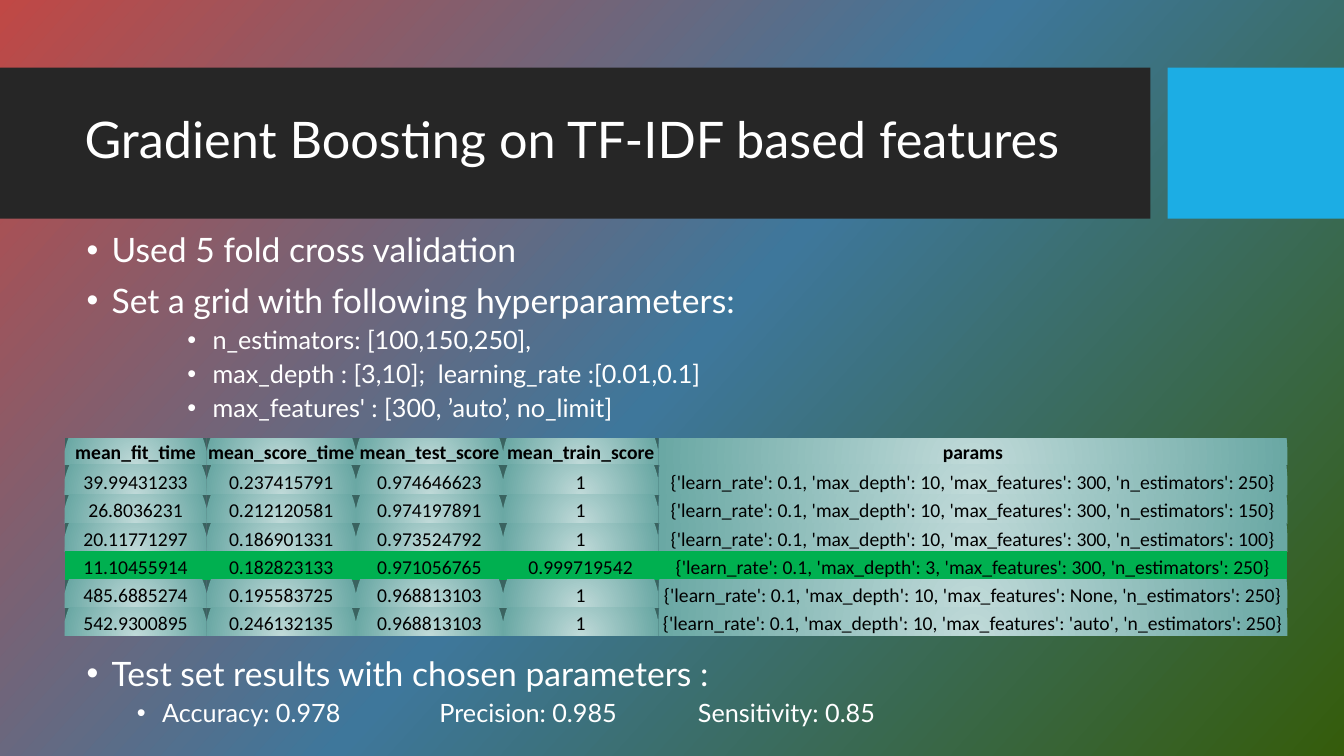
from lxml import etree
from pptx import Presentation
from pptx.dml.color import RGBColor
from pptx.enum.shapes import MSO_SHAPE
from pptx.enum.text import MSO_ANCHOR, PP_ALIGN
from pptx.oxml.ns import qn
from pptx.util import Inches, Pt

RECTANGLE = MSO_SHAPE.RECTANGLE
MIDDLE, BOTTOM = MSO_ANCHOR.MIDDLE, MSO_ANCHOR.BOTTOM
CENTER = PP_ALIGN.CENTER

COLORS = {
    "band": "262626",
    "accent": "1CADE4",
    "light": "FFFFFF",
    "dark": "000000",
    "chosen": "00B050",
}
BACKGROUND_STOPS = [(0, "C04845"), (50, "3E779B"), (100, "355C0B")]
CELL_STOPS = [(0, "C0DAD9"), (100, "6AA8A4"), (100, "3A6360")]
NO_STYLE_NO_GRID = "{2D5ABB26-0587-4C30-8999-92F81FD0307C}"

TITLE = "Gradient Boosting on TF-IDF based features"
SETUP = [
    (0, "Used 5 fold cross validation"),
    (0, "Set a grid with following hyperparameters:"),
    (2, "n_estimators: [100,150,250],"),
    (2, "max_depth : [3,10];  learning_rate :[0.01,0.1]"),
    (2, "max_features' : [300, ’auto’, no_limit]"),
]
TEST_RESULTS = [
    (0, "Test set results with chosen parameters :"),
    (1, "Accuracy: 0.978\t\tPrecision: 0.985\t\t Sensitivity: 0.85"),
]
HEADERS = ["mean_fit_time", "mean_score_time", "mean_test_score", "mean_train_score", "params"]
SCORES = [
    ("39.99431233", "0.237415791", "0.974646623", "1", "10", "300", "250"),
    ("26.8036231", "0.212120581", "0.974197891", "1", "10", "300", "150"),
    ("20.11771297", "0.186901331", "0.973524792", "1", "10", "300", "100"),
    ("11.10455914", "0.182823133", "0.971056765", "0.999719542", "3", "300", "250"),
    ("485.6885274", "0.195583725", "0.968813103", "1", "10", "None", "250"),
    ("542.9300895", "0.246132135", "0.968813103", "1", "10", "'auto'", "250"),
]
CHOSEN_ROW = 4
COLUMN_WIDTHS = [1.41, 1.48, 1.46, 1.54, 6.24]
ROW_HEIGHTS = [0.26, 0.3] + [0.28] * 5
BAND_TOP, BAND_HEIGHT = 0.67, 1.5
BODY_LEFT, BODY_WIDTH = 0.76, 10.51


def set_gradient(fill, holder, stops, shade, **shade_attributes):
    fill.gradient()
    gradient = holder.find(qn("a:gradFill"))
    for child in list(gradient):
        gradient.remove(child)
    stop_list = etree.SubElement(gradient, qn("a:gsLst"))
    for position, color in stops:
        stop = etree.SubElement(stop_list, qn("a:gs"), pos=str(position * 1000))
        etree.SubElement(stop, qn("a:srgbClr"), val=color)
    return etree.SubElement(gradient, qn(shade), **shade_attributes)


def set_font(paragraph, name, size, color, bold=False):
    font = paragraph.font
    font.name, font.size, font.bold = name, Pt(size), bold
    font.color.rgb = RGBColor.from_string(COLORS[color])


def add_band(slide, left, width, color):
    band = slide.shapes.add_shape(
        RECTANGLE, Inches(left), Inches(BAND_TOP), Inches(width), Inches(BAND_HEIGHT))
    band.shadow.inherit = False
    band.fill.solid()
    band.fill.fore_color.rgb = RGBColor.from_string(COLORS[color])
    band.line.fill.background()


def add_text_frame(slide, left, top, width, height):
    frame = slide.shapes.add_textbox(
        Inches(left), Inches(top), Inches(width), Inches(height)).text_frame
    frame.word_wrap = True
    return frame


def add_bullets(slide, top, height, items):
    frame = add_text_frame(slide, BODY_LEFT, top, BODY_WIDTH, height)
    for index, (level, text) in enumerate(items):
        paragraph = frame.add_paragraph() if index else frame.paragraphs[0]
        paragraph.text = text
        paragraph.level = level
        paragraph.line_spacing = 0.9
        paragraph.space_before = Pt(5 if level else 10)
        properties = paragraph._p.get_or_add_pPr()
        properties.set("marL", str(Inches(0.25 + 0.5 * level)))
        properties.set("indent", str(Inches(-0.25)))
        etree.SubElement(properties, qn("a:buFont"), typeface="Arial")
        etree.SubElement(properties, qn("a:buChar"), char="•")
        set_font(paragraph, "Lato", 18 if level else 24, "light")


def fill_cell(cell, text, is_header, is_chosen):
    cell.text = text
    cell.vertical_anchor = BOTTOM
    cell.margin_left = cell.margin_top = cell.margin_right = Inches(0.01)
    cell.margin_bottom = 0
    paragraph = cell.text_frame.paragraphs[0]
    paragraph.alignment = CENTER
    set_font(paragraph, "Calibri", 14, "dark", is_header)
    if is_chosen:
        cell.fill.solid()
        cell.fill.fore_color.rgb = RGBColor.from_string(COLORS["chosen"])
    else:
        shade = set_gradient(
            cell.fill, cell._tc.get_or_add_tcPr(), CELL_STOPS, "a:path", path="circle")
        etree.SubElement(
            shade, qn("a:fillToRect"), l="50000", t="130000", r="50000", b="-30000")


def add_scores(slide):
    rows = [HEADERS]
    for *means, depth, features, estimators in SCORES:
        params = (f"{{'learn_rate': 0.1, 'max_depth': {depth}, "
                  f"'max_features': {features}, 'n_estimators': {estimators}}}")
        rows.append([*means, params])
    scores = slide.shapes.add_table(
        len(rows), len(HEADERS), Inches(0.64), Inches(4.35),
        Inches(sum(COLUMN_WIDTHS)), Inches(sum(ROW_HEIGHTS))).table
    scores._tbl.tblPr.find(qn("a:tableStyleId")).text = NO_STYLE_NO_GRID
    scores.horz_banding = False
    for column, width in zip(scores.columns, COLUMN_WIDTHS):
        column.width = Inches(width)
    for row, height in zip(scores.rows, ROW_HEIGHTS):
        row.height = Inches(height)
    for row_index, values in enumerate(rows):
        for column_index, value in enumerate(values):
            fill_cell(scores.cell(row_index, column_index), value,
                      row_index == 0, row_index == CHOSEN_ROW)


def main():
    deck = Presentation()
    deck.slide_width, deck.slide_height = Inches(13.33), Inches(7.5)
    slide = deck.slides.add_slide(deck.slide_layouts[6])

    background = slide.background.fill
    background.solid()
    set_gradient(background, slide.element.find(".//" + qn("p:bgPr")),
                 BACKGROUND_STOPS, "a:lin", ang=str(42 * 60000), scaled="0")

    add_band(slide, 0, 11.41, "band")
    add_band(slide, 11.58, 1.75, "accent")

    title = add_text_frame(slide, 0.74, 0.82, 10.51, 1.18)
    title.vertical_anchor = MIDDLE
    heading = title.paragraphs[0]
    heading.text = TITLE
    heading.line_spacing = 0.9
    set_font(heading, "Lato", 36, "light")

    add_bullets(slide, 2.27, 2.05, SETUP)
    add_scores(slide)
    add_bullets(slide, 6.47, 0.87, TEST_RESULTS)
    deck.save("out.pptx")


if __name__ == "__main__":
    main()
